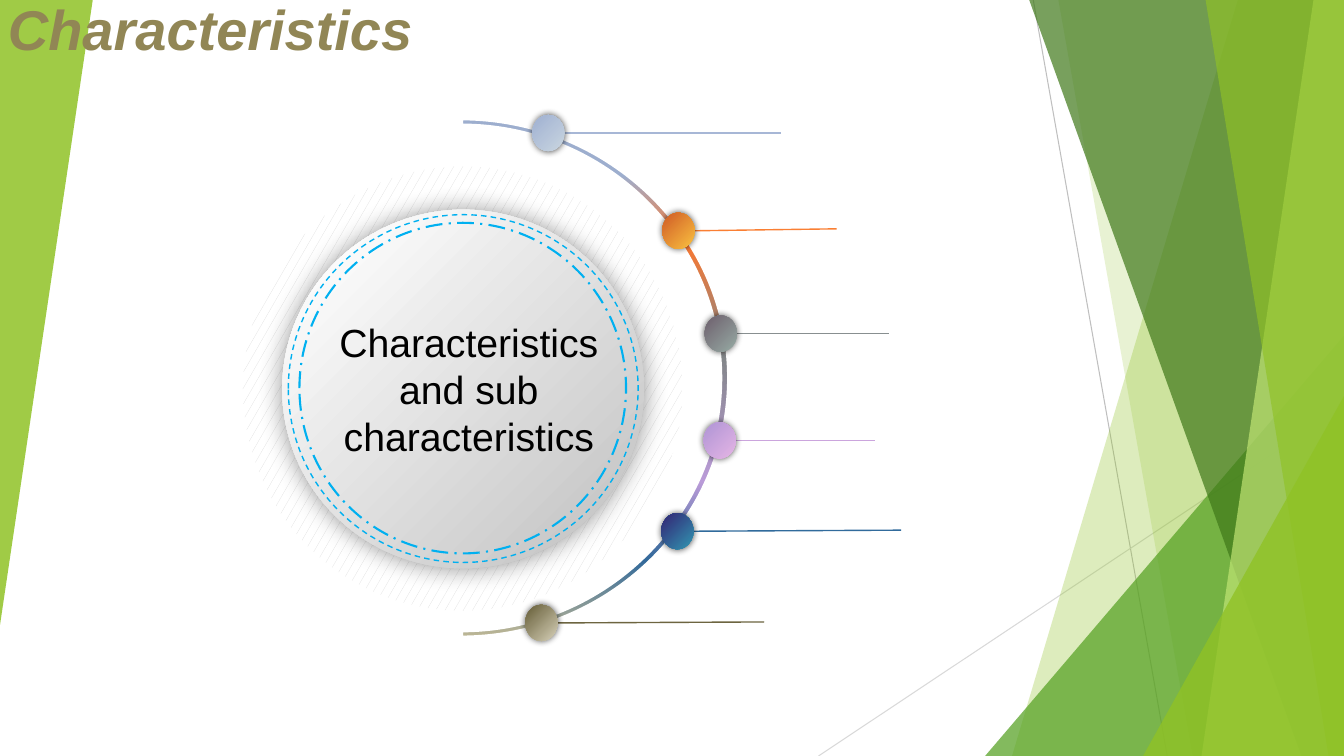
import lxml.etree
import pptx
import pptx.dml.color
import pptx.enum.dml
import pptx.enum.shapes
import pptx.enum.text
import pptx.oxml.ns
import pptx.util

KIND = pptx.enum.shapes.MSO_SHAPE
DASH = pptx.enum.dml.MSO_LINE
TEXT = pptx.enum.text
WIDE, HIGH = pptx.util.Inches(13.33), pptx.util.Inches(7.5)

THEME = {
    "font": "Arial", "head": 40, "body": 28,
    "ink": "000000", "gold": "918655", "white": "FFFFFF", "hatch": "D9D9D9",
    "green": "90C226", "leaf": "54A021", "dark": "3F7819", "pale": "C0E474",
    "blue": "00B0F0", "grey": "BFBFBF",
    "ring": [(11, "9DAECE"), (24, "FA7831"), (46, "838689"),
             (70, "BA9BD8"), (85, "32699A"), (100, "C1B995")],
}

DOTS = [
    (40.8, 17.6, 58.13, 17.6, "C9D6E0", "A3B3D3", "A7B7D6"),
    (50.48, 30.53, 62.25, 30.27, "FAC241", "D36228", "FA7F33"),
    (53.63, 44.13, 66.15, 44.13, "97ABA4", "716571", "888F90"),
    (53.55, 58.27, 65.1, 58.27, "E5B5E5", "B397D6", "CBA5DD"),
    (50.4, 70.27, 67.05, 70.13, "3196B2", "332B78", "316B9C"),
    (40.28, 82.4, 56.85, 82.27, "D6D0B8", "6D6540", "6D6540"),
]


def col(share):
    return round(WIDE * share / 100)


def row(share):
    return round(HIGH * share / 100)


def frame(left, top, width, height):
    return col(left), row(top), col(width), row(height)


def tint(name):
    return pptx.dml.color.RGBColor.from_string(THEME.get(name, name))


def put(item, form):
    for key, value in form.items():
        setattr(item, key, value)


def node(base, tag, **form):
    part = lxml.etree.SubElement(base, pptx.oxml.ns.qn(tag))
    for key, value in form.items():
        part.set(key, str(value))
    return part


def fade(color, share):
    node(color, "a:alpha", val=share * 1000)


def flat(shape, name, share):
    shape.fill.solid()
    shape.fill.fore_color.rgb = tint(name)
    fill = shape.element.spPr.find(pptx.oxml.ns.qn("a:solidFill"))
    fade(fill[0], share)


def blend(shape, stops, angle):
    shape.fill.gradient()
    shape.fill.gradient_angle = angle
    base = shape.element.spPr.find(".//" + pptx.oxml.ns.qn("a:gsLst"))
    for old in list(base):
        base.remove(old)
    for place, name in stops:
        stop = node(base, "a:gs", pos=place * 1000)
        node(stop, "a:srgbClr", val=tint(name))


def glow(shape, blur, share):
    base = shape.element.spPr.find(pptx.oxml.ns.qn("a:effectLst"))
    cast = node(base, "a:outerShdw", blurRad=pptx.util.Pt(blur), dist=0, dir=0)
    fade(node(cast, "a:srgbClr", val=tint("ink")), share)


def plain(shape):
    shape.shadow.inherit = False
    shape.line.fill.background()
    return shape


def form(slide, kind, box):
    return plain(slide.shapes.add_shape(kind, *frame(*box)))


def edge(shape, name, width, dash=None):
    shape.line.color.rgb = tint(name)
    put(shape.line, {"width": pptx.util.Pt(width), "dash_style": dash})


def rule(slide, start, end, name, width):
    line = slide.shapes.add_connector(
        pptx.enum.shapes.MSO_CONNECTOR.STRAIGHT,
        col(start[0]), row(start[1]), col(end[0]), row(end[1]))
    edge(line, name, width)
    node(line.element.spPr, "a:effectLst")


def trace(slide, points):
    first, *rest = [(col(x), row(y)) for x, y in points]
    pen = slide.shapes.build_freeform(*first, scale=1.0)
    pen.add_line_segments(rest, close=True)
    return plain(pen.convert_to_shape())


def bend(shape):
    bow = 0.55
    spots = list(shape.element.iter(pptx.oxml.ns.qn("a:pt")))
    marks = [(int(spot.get("x")), int(spot.get("y"))) for spot in spots]
    for spot, (x, y), (u, v) in zip(spots[1:], marks, marks[1:]):
        if x == u:
            continue
        near = (x + bow * (u - x), y) if u > x else (x, y + bow * (v - y))
        far = (u, v - bow * (v - y)) if u > x else (u - bow * (u - x), v)
        step = spot.getparent()
        curve = lxml.etree.Element(pptx.oxml.ns.qn("a:cubicBezTo"))
        for left, top in (near, far, (u, v)):
            node(curve, "a:pt", x=round(left), y=round(top))
        step.getparent().replace(step, curve)


def band(slide, top, foot, name, share):
    flat(trace(slide, [(top, 0), (100, 0), (100, 100), (foot, 100)]), name, share)


def wedge(slide, box, name, share, turn=0):
    shape = form(slide, KIND.ISOSCELES_TRIANGLE, box)
    shape.adjustments[0] = 1.0
    shape.rotation = turn
    flat(shape, name, share)


def write(shape, words, name, size, **style):
    para = shape.text_frame.paragraphs[0]
    para.alignment = TEXT.PP_ALIGN.CENTER
    run = para.add_run()
    run.text = words
    put(run.font, {"name": THEME["font"], "size": pptx.util.Pt(THEME[size]), **style})
    run.font.color.rgb = tint(name)
    return para


def facet(slide):
    rule(slide, (76.88, 0), (86.85, 100), "grey", 0.75)
    rule(slide, (100, 53.73), (60.9, 100), "hatch", 0.75)
    band(slide, 92.1, 75.3, "green", 30)
    band(slide, 78.75, 88.73, "green", 20)
    wedge(slide, (73.3, 44.4, 26.7, 55.6), "leaf", 72)
    band(slide, 76.58, 96.83, "dark", 70)
    band(slide, 97.73, 89.4, "pale", 70)
    band(slide, 89.7, 98.85, "green", 65)
    wedge(slide, (85.05, 52.4, 14.95, 47.6), "green", 80)
    wedge(slide, (0, 0, 6.9, 82.67), "green", 85, 180)


def halo(slide):
    shape = form(slide, KIND.OVAL, (18.08, 22, 32.7, 58.8))
    shape.fill.patterned()
    shape.fill.pattern = pptx.enum.dml.MSO_PATTERN.SMALL_CONFETTI
    shape.fill.fore_color.rgb = tint("hatch")
    shape.fill.back_color.rgb = tint("white")


def ring(slide):
    shape = trace(slide, [(34.28, 15.6), (54.28, 50), (34.28, 84.4),
                          (34.28, 83.33), (53.56, 50), (34.28, 16.67)])
    bend(shape)
    blend(shape, THEME["ring"], 270)
    edge(shape, "white", 3.5)


def dots(slide):
    wide, high = 2.4, 4.8
    for x, y, end, level, light, deep, line in DOTS:
        rule(slide, (x + wide / 2, y), (end, level), line, 1)
        dot = form(slide, KIND.OVAL, (x - wide / 2, y - high / 2, wide, high))
        blend(dot, [(0, light), (93, deep)], 135)
        glow(dot, 5, 70)


def disc(slide):
    plate = form(slide, KIND.OVAL, (21, 27.73, 26.93, 47.47))
    blend(plate, [(0, "grey"), (93, "white")], 135)
    glow(plate, 18, 42)
    for box, width, dash in [
            ((21.45, 28.4, 26.03, 46), 1, DASH.DASH),
            ((22.28, 29.47, 24.3, 43.73), 1.5, DASH.LONG_DASH_DOT)]:
        loop = form(slide, KIND.OVAL, box)
        loop.fill.background()
        edge(loop, "blue", width, dash)
    label = slide.shapes.add_textbox(*frame(22.73, 41.47, 24.3, 20.13))
    label.text_frame.word_wrap = True
    write(label, "Characteristics and sub characteristics", "ink", "body")


def head(slide):
    title = slide.shapes.title
    spot = frame(-11.03, 5.07, 53.33, 12.8)
    put(title, dict(zip(("left", "top", "width", "height"), spot)))
    put(title.text_frame, {"vertical_anchor": TEXT.MSO_ANCHOR.BOTTOM,
                           "word_wrap": True, "auto_size": TEXT.MSO_AUTO_SIZE.NONE})
    para = write(title, "Characteristics", "gold", "head", bold=True, italic=True)
    para.line_spacing = 0.9
    para.add_line_break()
    gap = next(title.element.iter(pptx.oxml.ns.qn("a:br")))
    for base, tag in ((gap, "a:rPr"), (gap.getparent(), "a:endParaRPr")):
        style = node(base, tag, sz=THEME["head"] * 100)
        node(style, "a:latin", typeface=THEME["font"])
    title.element.getparent().append(title.element)


def main():
    deck = pptx.Presentation()
    put(deck, {"slide_width": WIDE, "slide_height": HIGH})
    slide = deck.slides.add_slide(deck.slide_layouts[5])
    for part in (facet, halo, ring, dots, disc, head):
        part(slide)
    deck.save("out.pptx")


if __name__ == "__main__":
    main()
